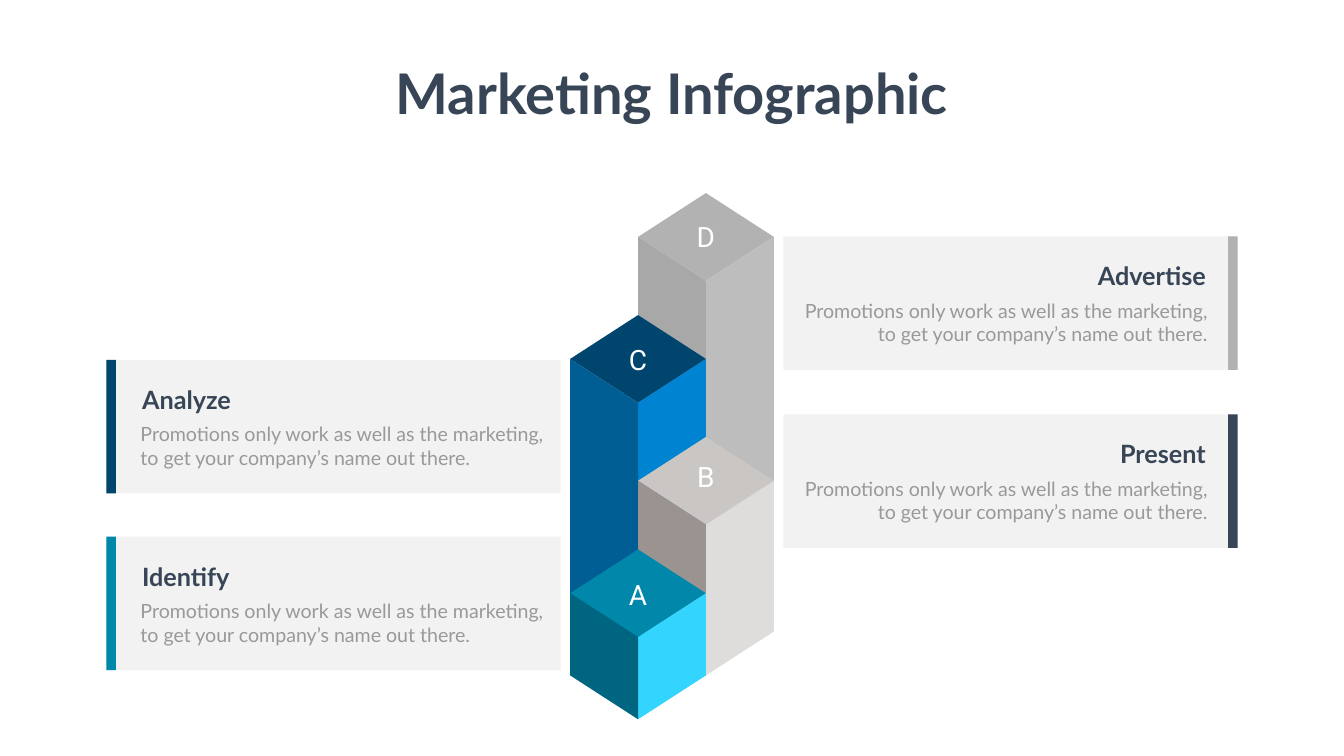
from lxml import etree
from pptx import Presentation
from pptx import util as u
from pptx.dml.color import RGBColor
from pptx.enum import shapes, text
from pptx.oxml.ns import qn

COLORS = {
    "background": "FEFFFE", "navy": "374556", "body": "999999",
    "panel": "808080", "white": "FFFFFF", "gray": "B2B2B2",
    "gray_light": "BDBDBD", "gray_dark": "A8A8A8", "blue": "00456D",
    "blue_light": "0084D1", "blue_dark": "005E95", "stone": "CAC6C4",
    "stone_light": "DFDDDC", "stone_dark": "9B9390", "teal": "0087AA",
    "teal_light": "33D5FF", "teal_dark": "006580",
}
MESSAGE = ("Promotions only work as well as the marketing, "
           "to get your company’s name out there.")

LEFT_CENTER, RIGHT_CENTER = 32.15, 35.57
HALF_WIDTH, HALF_DEPTH = 3.42, 2.21
LABEL_WIDTH, LABEL_HEIGHT = 4.19, 1.7

LEFT_PANEL, RIGHT_PANEL = 5.36, 39.47
PANEL_WIDTH, PANEL_HEIGHT, BAR_WIDTH = 22.89, 6.73, 0.48
HEADING_WIDTH, BODY_WIDTH = 6.63, 21.29

COLUMNS = [
    ("D", RIGHT_CENTER, 9.73, 31.32, 11.07, "gray"),
    ("C", LEFT_CENTER, 15.88, 32.23, 17.27, "blue"),
    ("B", RIGHT_CENTER, 22.02, 34.04, 23.14, "stone"),
    ("A", LEFT_CENTER, 27.69, 36.25, 29.08, "teal"),
]
CARDS = [
    ("Advertise", True, 11.91, "gray"),
    ("Present", True, 20.88, "navy"),
    ("Analyze", False, 18.14, "blue"),
    ("Identify", False, 27.05, "teal"),
]


class Painter:
    def __init__(self, page, font="Lato"):
        self.page = page
        self.font = font

    def paint(self, shape, color, alpha=None):
        shape.shadow.inherit = False
        shape.fill.solid()
        shape.fill.fore_color.rgb = RGBColor.from_string(COLORS[color])
        shape.line.fill.background()
        if alpha is not None:
            tint = shape.element.spPr.find(".//" + qn("a:srgbClr"))
            etree.SubElement(tint, qn("a:alpha")).set("val", str(alpha * 1000))

    def rectangle(self, left, top, width, height, color, alpha=None):
        shape = self.page.shapes.add_shape(
            shapes.MSO_SHAPE.RECTANGLE,
            u.Cm(left), u.Cm(top), u.Cm(width), u.Cm(height))
        self.paint(shape, color, alpha)

    def polygon(self, points, color):
        corners = [(u.Cm(x), u.Cm(y)) for x, y in points]
        builder = self.page.shapes.build_freeform(*corners[0])
        builder.add_line_segments(corners[1:], close=True)
        self.paint(builder.convert_to_shape(), color)

    def label(self, words, left, top, width, height, size, color,
              align=text.PP_ALIGN.LEFT, bold=False, font=None, wrap=True):
        box = self.page.shapes.add_textbox(
            u.Cm(left), u.Cm(top), u.Cm(width), u.Cm(height))
        frame = box.text_frame
        frame.word_wrap = wrap
        para = frame.paragraphs[0]
        para.text = words
        para.alignment = align
        para.font.name = font or self.font
        para.font.size = u.Pt(size)
        para.font.bold = bold
        para.font.color.rgb = RGBColor.from_string(COLORS[color])
        return frame

    def column(self, letter, center, top, bottom, label_top, color):
        left, right = center - HALF_WIDTH, center + HALF_WIDTH
        shoulder, front = top + HALF_DEPTH, top + 2 * HALF_DEPTH
        self.polygon([(center, top), (right, shoulder),
                      (center, front), (left, shoulder)], color)
        for side, shade in ((right, "_light"), (left, "_dark")):
            self.polygon([(center, front), (side, shoulder),
                          (side, bottom - HALF_DEPTH), (center, bottom)],
                         color + shade)
        frame = self.label(letter, center - LABEL_WIDTH / 2, label_top,
                           LABEL_WIDTH, LABEL_HEIGHT, 40, "white",
                           text.PP_ALIGN.CENTER, font="Roboto")
        frame.vertical_anchor = text.MSO_ANCHOR.MIDDLE
        frame.margin_left = frame.margin_right = 0
        frame.margin_top = frame.margin_bottom = 0

    def card(self, heading, on_right, top, color):
        if on_right:
            left, align = RIGHT_PANEL, text.PP_ALIGN.RIGHT
            edge = left + PANEL_WIDTH
            bar_left = edge - BAR_WIDTH
            heading_left = edge - 1.35 - HEADING_WIDTH
            body_left = edge - 1.27 - BODY_WIDTH
        else:
            left, align = LEFT_PANEL, text.PP_ALIGN.LEFT
            bar_left = left
            heading_left, body_left = left + 1.55, left + 1.47
        self.rectangle(left, top, PANEL_WIDTH, PANEL_HEIGHT, "panel", alpha=10)
        self.rectangle(bar_left, top, BAR_WIDTH, PANEL_HEIGHT, color)
        self.label(heading, heading_left, top + 1.09, HEADING_WIDTH, 1.8,
                   36, "navy", align, bold=True)
        self.label(MESSAGE, body_left, top + 3.02, BODY_WIDTH, 2.64,
                   28, "body", align)


def main():
    deck = Presentation()
    deck.slide_width, deck.slide_height = u.Cm(67.72), u.Cm(38.1)
    page = deck.slides.add_slide(deck.slide_layouts[6])
    fill = page.background.fill
    fill.solid()
    fill.fore_color.rgb = RGBColor.from_string(COLORS["background"])

    painter = Painter(page)
    for column in COLUMNS:
        painter.column(*column)
    for card in CARDS:
        painter.card(*card)
    painter.label("Marketing Infographic", 19.33, 2.84, 29.06, 3.68, 80,
                  "navy", text.PP_ALIGN.CENTER, bold=True, wrap=False)
    deck.save("out.pptx")


if __name__ == "__main__":
    main()
